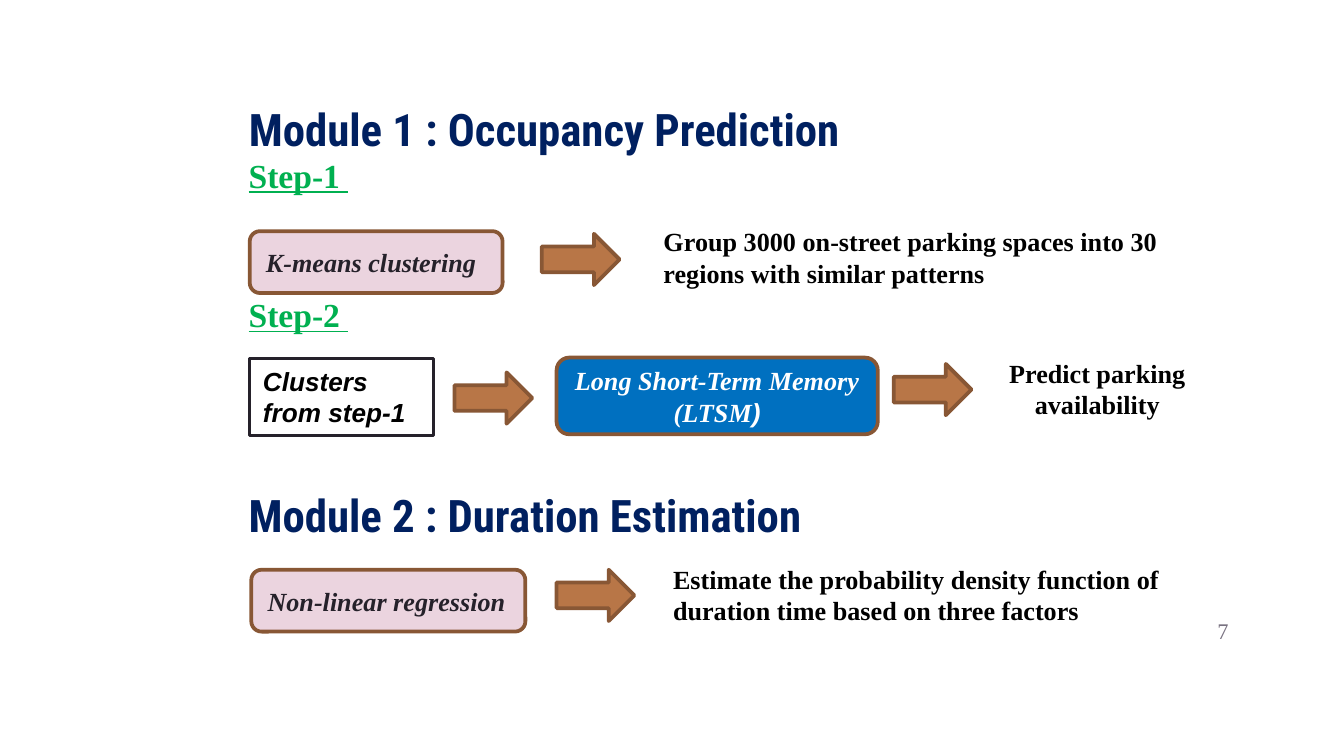
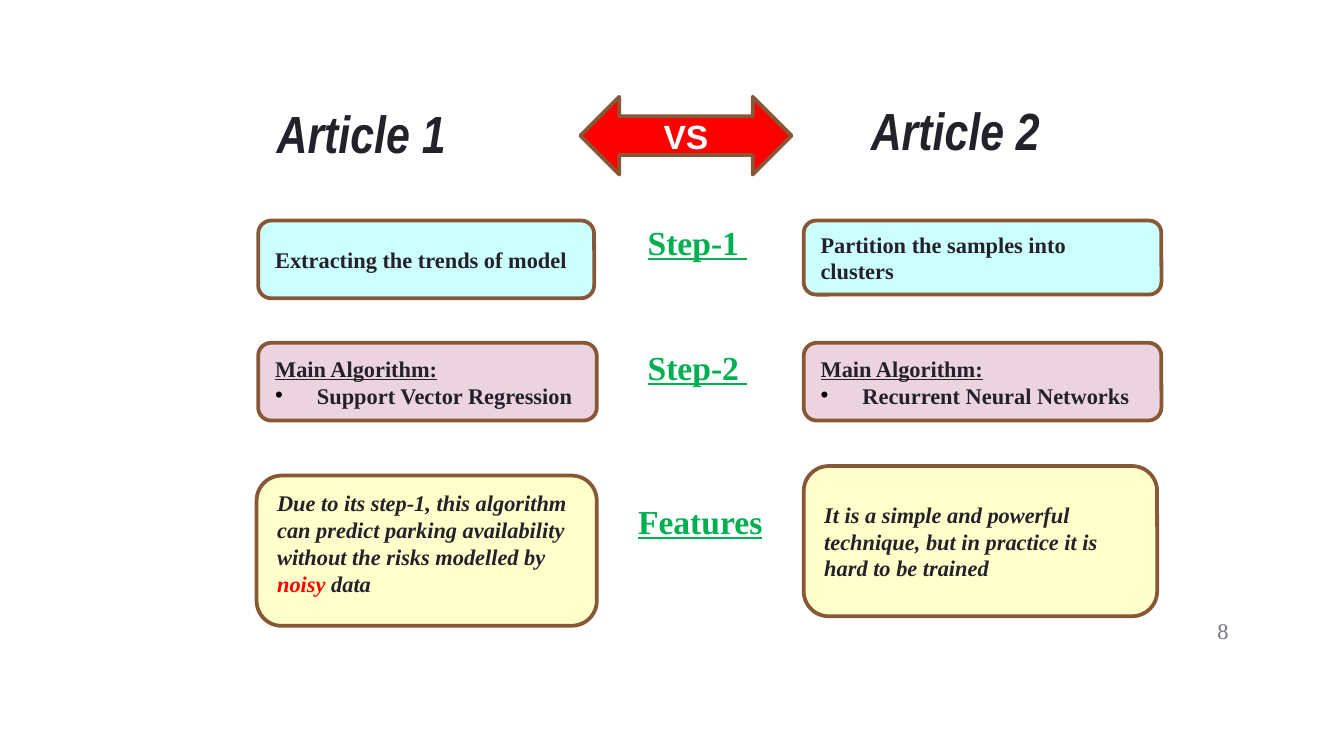
import dataclasses

import pptx
import pptx.dml.color
import pptx.enum.shapes
import pptx.enum.text
import pptx.oxml
import pptx.oxml.ns
import pptx.util

Cm = pptx.util.Cm
SHAPE = pptx.enum.shapes.MSO_SHAPE
ANCHOR = pptx.enum.text.MSO_ANCHOR
ALIGN = pptx.enum.text.PP_ALIGN


@dataclasses.dataclass(frozen=True)
class TextStyle:
    size: int
    color: str
    font: str = "Times New Roman"
    bold: bool = True
    italic: bool = False
    underline: bool = False


@dataclasses.dataclass(frozen=True)
class Theme:
    # Colours
    ink: str = "25212A"
    black: str = "000000"
    white: str = "FFFFFF"
    gray: str = "797281"
    navy: str = "002060"
    green: str = "00B050"
    red: str = "FF0000"
    blue: str = "0070C0"
    brown: str = "885735"
    copper: str = "B87647"
    pink: str = "EBD4DF"
    cyan: str = "CCFFFF"
    yellow: str = "FFFFCC"
    # Type sizes
    article: int = 28
    module: int = 24
    step: int = 18
    body: int = 14
    small: int = 12


THEME = Theme()
MODULE = TextStyle(THEME.module, THEME.navy, font="Roboto Condensed")
ARTICLE = TextStyle(THEME.article, THEME.ink, font="Arial Narrow", italic=True)
STEP = TextStyle(THEME.step, THEME.green, underline=True)
RESULT = TextStyle(THEME.body, THEME.black)
METHOD = TextStyle(THEME.body, THEME.ink, italic=True)
NETWORK = dataclasses.replace(METHOD, color=THEME.white)
INPUT = dataclasses.replace(METHOD, color=THEME.black, font="Arial")
VERSUS = TextStyle(THEME.step, THEME.white, font="Arial")
CARD = TextStyle(THEME.small, THEME.ink)
CARD_HEAD = dataclasses.replace(CARD, underline=True)
FEATURE = dataclasses.replace(CARD, italic=True)
WARNING = dataclasses.replace(FEATURE, color=THEME.red)
NUMBER = TextStyle(THEME.small, THEME.gray, bold=False)

INSET = 0.25
STEP_SIZE = (2.41, 1.47)
ARROW_SIZE = (1.47, 0.97)


def rgb(color):
    return pptx.dml.color.RGBColor.from_string(color)


def add_bullet(paragraph):
    """Give a paragraph a black round bullet and a hanging indent."""
    properties = paragraph._p.get_or_add_pPr()
    properties.set("marL", str(Cm(0.79)))
    properties.set("indent", str(-Cm(0.79)))
    namespace = pptx.oxml.ns.nsdecls("a")
    for xml in (
        f'<a:buClr {namespace}><a:srgbClr val="{THEME.black}"/></a:buClr>',
        f'<a:buFont {namespace} typeface="Arial"/>',
        f'<a:buChar {namespace} char="•"/>',
    ):
        properties.append(pptx.oxml.parse_xml(xml))


def add_run(paragraph, text, style):
    run = paragraph.add_run()
    run.text = text
    font = run.font
    font.name, font.size = style.font, pptx.util.Pt(style.size)
    font.bold, font.italic, font.underline = style.bold, style.italic, style.underline
    font.color.rgb = rgb(style.color)


def write(shape, paragraphs, anchor=ANCHOR.TOP, align=ALIGN.LEFT, inset=None, bullets=()):
    """Fill a shape with paragraphs, each a list of (text, style) runs."""
    frame = shape.text_frame
    frame.word_wrap = True
    frame.auto_size = pptx.enum.text.MSO_AUTO_SIZE.NONE
    frame.vertical_anchor = anchor
    if inset is not None:
        frame.margin_left = frame.margin_right = Cm(inset)
        frame.margin_top = frame.margin_bottom = Cm(inset)
    for index, runs in enumerate(paragraphs):
        paragraph = frame.add_paragraph() if index else frame.paragraphs[0]
        if index in bullets:
            add_bullet(paragraph)
        paragraph.alignment = align
        for text, style in runs:
            add_run(paragraph, text, style)


def add_title(slide, text, style, left, top, width, height, **layout):
    title = slide.shapes.title
    title.left, title.top = Cm(left), Cm(top)
    title.width, title.height = Cm(width), Cm(height)
    write(title, [[(text, style)]], **layout)


def add_label(slide, text, style, left, top, width, height, **layout):
    box = slide.shapes.add_textbox(Cm(left), Cm(top), Cm(width), Cm(height))
    write(box, [[(text, style)]], **layout)


def add_step(slide, text, left, top, size=STEP_SIZE):
    add_label(slide, text, STEP, left, top, *size, inset=INSET)


def add_block(slide, kind, fill, left, top, width, height, line=THEME.brown, line_width=2):
    shape = slide.shapes.add_shape(kind, Cm(left), Cm(top), Cm(width), Cm(height))
    shape.shadow.inherit = False
    shape.fill.solid()
    shape.fill.fore_color.rgb = rgb(fill)
    shape.line.color.rgb = rgb(line)
    shape.line.width = pptx.util.Pt(line_width)
    return shape


def add_card(slide, paragraphs, fill, left, top, width, height, anchor=ANCHOR.MIDDLE, **layout):
    card = add_block(slide, SHAPE.ROUNDED_RECTANGLE, fill, left, top, width, height)
    write(card, paragraphs, anchor=anchor, **layout)


def add_arrow(slide, left, top):
    add_block(slide, SHAPE.RIGHT_ARROW, THEME.copper, left, top, *ARROW_SIZE)


def add_slide(presentation, number):
    """Add a title-only slide with its page number."""
    slide = presentation.slides.add_slide(presentation.slide_layouts[5])
    add_label(slide, str(number), NUMBER, 21.95, 11.38, 1.52, 1.09,
              anchor=ANCHOR.MIDDLE, align=ALIGN.RIGHT, inset=INSET)
    return slide


def build_modules(presentation):
    slide = add_slide(presentation, 7)

    # Module headings
    add_title(slide, "Module 1 : Occupancy Prediction", MODULE, 4.45, 1.8, 13.92, 1.27)
    add_label(slide, "Module 2 : Duration Estimation", MODULE, 4.45, 9.09, 13.92, 1.27)

    # Step 1: clustering
    add_step(slide, "Step-1 ", 4.45, 2.67)
    add_card(slide, [[("K-means clustering", METHOD)]], THEME.pink, 4.72, 4.37, 4.78, 1.17)
    add_arrow(slide, 10.24, 4.42)
    add_label(slide, "Group 3000 on-street parking spaces into 30 regions with similar patterns",
              RESULT, 12.29, 4.14, 9.98, 1.45)

    # Step 2: prediction
    add_step(slide, "Step-2 ", 4.45, 5.31)
    clusters = add_block(slide, SHAPE.RECTANGLE, THEME.white, 4.72, 6.78, 3.48, 1.45,
                         line=THEME.ink, line_width=1.5)
    write(clusters, [[("Clusters from step-1", INPUT)]])
    add_arrow(slide, 8.59, 7.04)
    closing = dataclasses.replace(NETWORK, font="Arial")
    add_card(slide, [[("Long Short-Term Memory (LTSM", NETWORK), (")", closing)]],
             THEME.blue, 10.52, 6.76, 6.07, 1.45, align=ALIGN.CENTER)
    add_arrow(slide, 16.89, 6.88)
    add_label(slide, "Predict parking availability", RESULT, 18.67, 6.63, 4.14, 1.45,
              align=ALIGN.CENTER)

    # Duration estimation
    add_card(slide, [[("Non-linear regression", METHOD)]], THEME.pink, 4.75, 10.77, 5.18, 1.17)
    add_arrow(slide, 10.52, 10.77)
    add_label(slide, "Estimate the probability density function of duration time "
              "based on three factors", RESULT, 12.47, 10.52, 9.98, 1.45)


def build_comparison(presentation):
    slide = add_slide(presentation, 8)
    left, right = 4.88, 15.19

    # Article headings
    heading = {"anchor": ANCHOR.BOTTOM, "inset": INSET}
    add_title(slide, "Article 1", ARTICLE, 4.98, 1.65, 4.22, 1.7, **heading)
    add_label(slide, "Article 2", ARTICLE, 16.21, 1.6, 4.9, 1.7, **heading)
    versus = add_block(slide, SHAPE.LEFT_RIGHT_ARROW, THEME.red, 10.97, 1.83, 3.99, 1.47)
    write(versus, [[("VS", VERSUS)]], anchor=ANCHOR.MIDDLE, align=ALIGN.CENTER)

    # Row labels
    add_step(slide, "Step-1 ", 11.99, 3.94)
    add_step(slide, "Step-2 ", 11.99, 6.3)
    add_step(slide, "Features", 11.81, 9.22, size=(3.38, 1.65))

    # Step 1 cards
    add_card(slide, [[("Extracting the trends of model", CARD)]],
             THEME.cyan, left, 4.17, 6.35, 1.47)
    add_card(slide, [[("Partition the samples into clusters", CARD)]],
             THEME.cyan, right, 4.17, 6.76, 1.4)

    # Step 2 cards
    for algorithm, column, width in (
        ("Support Vector Regression", left, 6.4),
        ("Recurrent Neural Networks", right, 6.76),
    ):
        add_card(slide, [[("Main Algorithm:", CARD_HEAD)], [(algorithm, CARD)]],
                 THEME.pink, column, 6.48, width, 1.47, bullets=(1,))

    # Feature cards
    add_card(slide, [[("Due to its step-1, this algorithm can predict parking availability "
                       "without the risks modelled by ", FEATURE),
                      ("noisy", WARNING), (" data", FEATURE)]],
             THEME.yellow, 4.85, 8.99, 6.43, 2.84, anchor=ANCHOR.TOP)
    add_card(slide, [[("It is a simple and powerful technique, but in practice it is "
                       "hard to be trained", FEATURE)]],
             THEME.yellow, right, 8.81, 6.68, 2.84)


def main():
    presentation = pptx.Presentation()
    presentation.slide_width, presentation.slide_height = Cm(25.4), Cm(14.29)
    build_modules(presentation)
    build_comparison(presentation)
    presentation.save("out.pptx")


if __name__ == "__main__":
    main()
